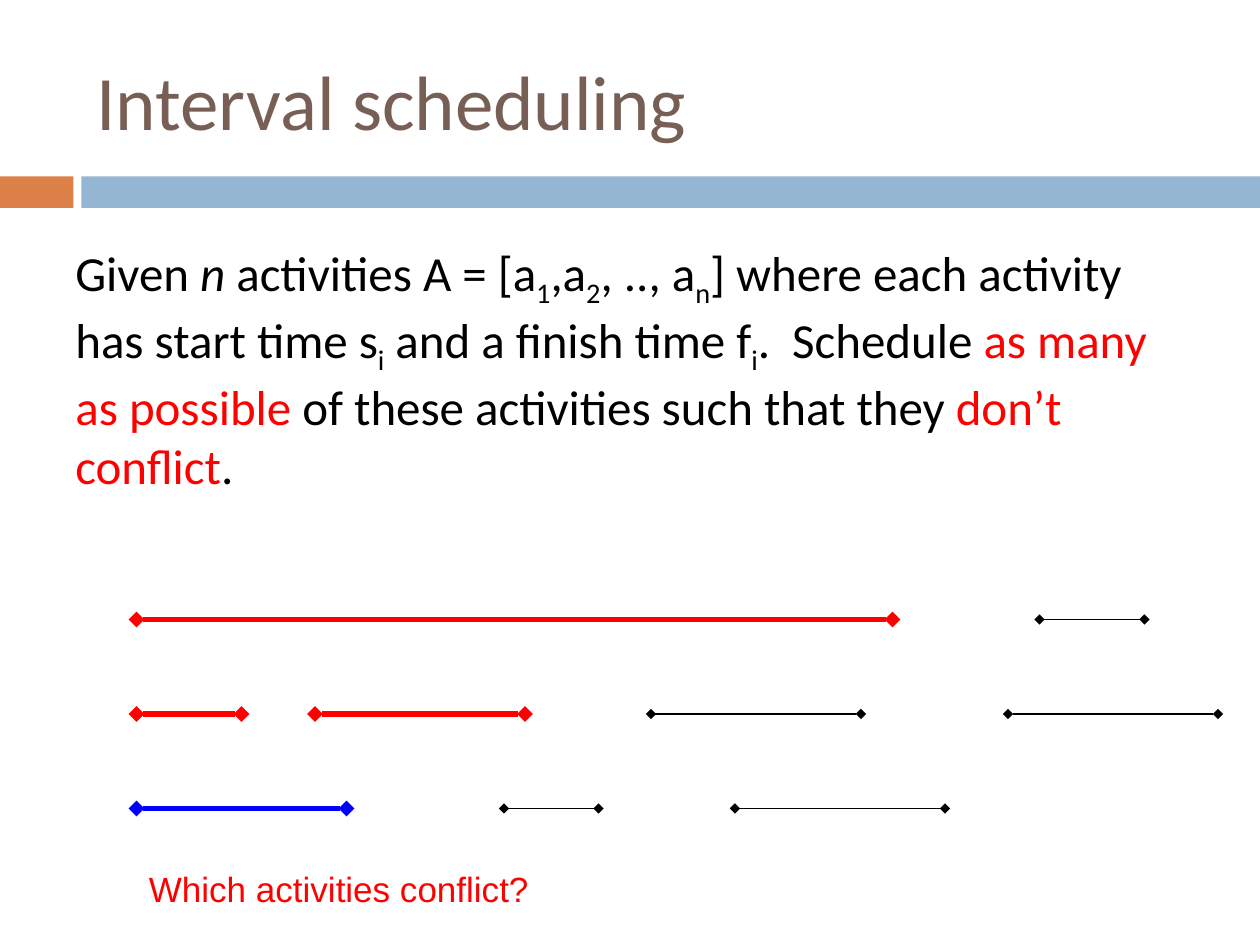
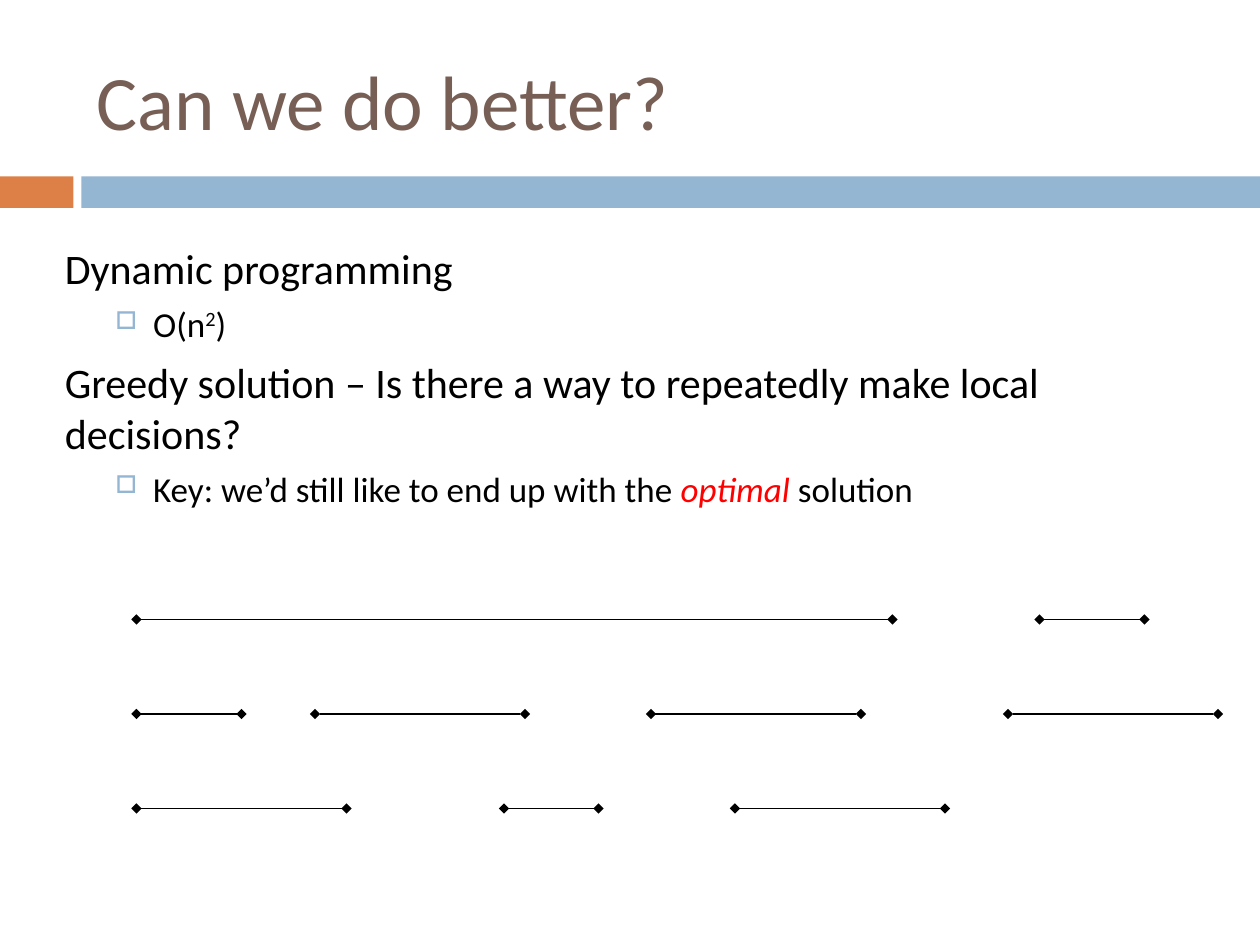
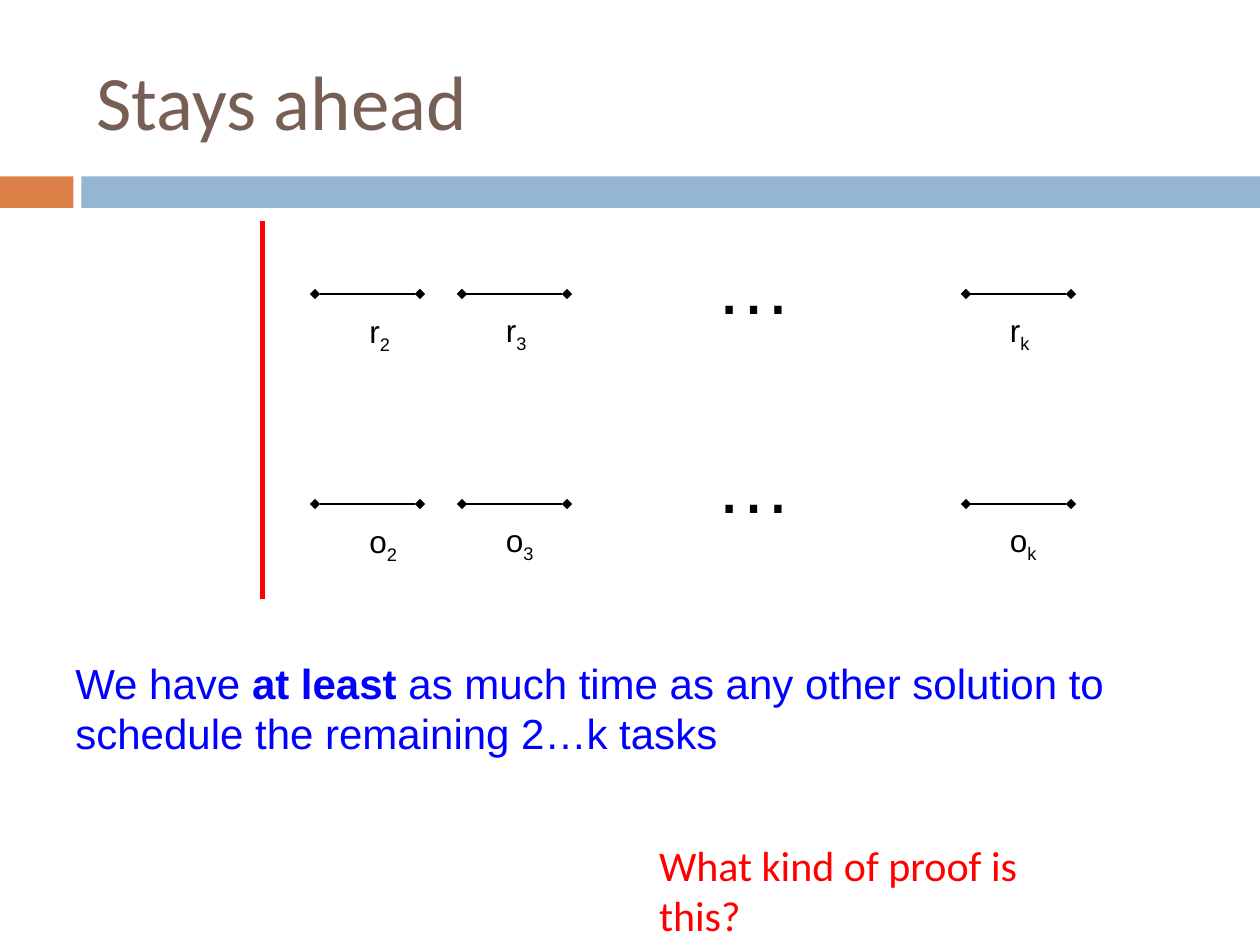
from lxml.etree import SubElement
from pptx import Presentation
from pptx.dml.color import RGBColor
from pptx.enum.shapes import MSO_CONNECTOR as CONNECTOR, MSO_SHAPE as SHAPE
from pptx.enum.text import MSO_ANCHOR as ANCHOR, MSO_AUTO_SIZE as AUTO_SIZE, PP_ALIGN as ALIGN
from pptx.oxml.ns import qn
from pptx.util import Pt

# Colours and fonts
BROWN = RGBColor(0x77, 0x5F, 0x55)
ORANGE = RGBColor(0xDD, 0x80, 0x47)
PALE_BLUE = RGBColor(0x94, 0xB6, 0xD2)
RED = RGBColor(0xFF, 0x00, 0x00)
BLUE = RGBColor(0x00, 0x00, 0xFF)
BLACK = RGBColor(0x00, 0x00, 0x00)
HEADING_FONT = "Calibri"
NOTE_FONT = "Arial"

# Run styles
SUBSCRIPT = {"baseline": -25000}
SUPERSCRIPT = {"baseline": 30000}
IN_RED = {"color": RED}

# Activities as (start, finish), one list per row, in points
ROW_TOP, ROW_STEP = 354, 54
ACTIVITY_ROWS = [
    [(78, 510), (594, 654)],
    [(78, 138), (180, 300), (372, 492), (576, 696)],
    [(78, 198), (288, 342), (420, 540)],
]
# Highlighted activities, by (row, place in row)
HIGHLIGHTS = {(0, 0): RED, (1, 0): RED, (1, 1): RED, (2, 0): BLUE}


def add_runs(paragraph, runs, size, font_name=HEADING_FONT, color=BLACK):
    """Add runs given as plain strings or as (text, style) pairs."""
    for item in runs:
        text, style = (item, {}) if isinstance(item, str) else item
        run = paragraph.add_run()
        run.text = text
        run.font.name = font_name
        run.font.size = Pt(size)
        run.font.color.rgb = style.get("color", color)
        run.font.bold = style.get("bold", False)
        run.font.italic = style.get("italic", False)
        if "baseline" in style:
            run._r.get_or_add_rPr().set("baseline", str(style["baseline"]))


def add_text_frame(slide, left, top, width, height, grow=True):
    box = slide.shapes.add_textbox(Pt(left), Pt(top), Pt(width), Pt(height))
    frame = box.text_frame
    frame.word_wrap = True
    frame.auto_size = AUTO_SIZE.SHAPE_TO_FIT_TEXT if grow else AUTO_SIZE.NONE
    return frame


def add_note(slide, bounds, runs, size, font_name=NOTE_FONT, color=BLACK, grow=True):
    frame = add_text_frame(slide, *bounds, grow=grow)
    add_runs(frame.paragraphs[0], runs, size, font_name, color)


def add_square_bullet(paragraph):
    properties = paragraph._p.get_or_add_pPr()
    properties.set("marL", str(Pt(50.4)))
    properties.set("indent", str(Pt(-21.6)))
    bullet_color = SubElement(properties, qn("a:buClr"))
    SubElement(bullet_color, qn("a:srgbClr"), val=str(PALE_BLUE))
    SubElement(properties, qn("a:buSzPct"), val="70000")
    SubElement(properties, qn("a:buChar"), char="□")


def add_outline(slide, bounds, items):
    """Add (level, runs) items; those on level 1 get a bullet."""
    frame = add_text_frame(slide, *bounds, grow=False)
    for index, (level, runs) in enumerate(items):
        paragraph = frame.add_paragraph() if index else frame.paragraphs[0]
        paragraph.level = level
        paragraph.space_before = Pt(5.5 if level else 7)
        if level:
            add_square_bullet(paragraph)
        add_runs(paragraph, runs, 20 if level else 24)


def add_line(slide, start, end, color=BLACK, width=0.75, diamonds=True):
    connector = slide.shapes.add_connector(CONNECTOR.STRAIGHT, *map(Pt, start + end))
    connector.line.color.rgb = color
    connector.line.width = Pt(width)
    properties = connector.element.spPr
    if diamonds:
        outline = properties.find(qn("a:ln"))
        for tag in ("a:headEnd", "a:tailEnd"):
            SubElement(outline, qn(tag), type="diamond")
    SubElement(properties, qn("a:effectLst"))


def add_activities(slide, highlights):
    for row, activities in enumerate(ACTIVITY_ROWS):
        y = ROW_TOP + row * ROW_STEP
        for place, (start, finish) in enumerate(activities):
            color = highlights.get((row, place))
            add_line(slide, (start, y), (finish, y), color or BLACK, 3 if color else 0.75)


def add_band(slide, left, width, color):
    band = slide.shapes.add_shape(SHAPE.RECTANGLE, Pt(left), Pt(100.8), Pt(width), Pt(18))
    band.shadow.inherit = False
    band.fill.solid()
    band.fill.fore_color.rgb = color
    band.line.fill.background()


def add_titled_slide(presentation, heading):
    slide = presentation.slides.add_slide(presentation.slide_layouts[5])
    add_band(slide, 0, 42, ORANGE)
    add_band(slide, 46.5, 673.5, PALE_BLUE)
    title = slide.shapes.title
    title.left, title.top, title.width, title.height = Pt(48), Pt(18), Pt(642), Pt(78)
    frame = title.text_frame
    frame.vertical_anchor = ANCHOR.MIDDLE
    frame.auto_size = AUTO_SIZE.NONE
    frame.paragraphs[0].alignment = ALIGN.LEFT
    add_runs(frame.paragraphs[0], [heading], 44, color=BROWN)
    return slide


def add_solution_row(slide, letter, y, ellipsis_top):
    """Add the tasks 2, 3, … k of one solution."""
    # Task start, then the offset of its label
    for index, x, label_dx, label_dy in (("2", 180, 24, 7), ("3", 264, 18, 6), ("k", 552, 18, 6)):
        add_line(slide, (x, y), (x + 60, y))
        add_note(slide, (x + label_dx, y + label_dy, 36, 29), [letter, (index, SUBSCRIPT)], 18)
    add_note(slide, (402, ellipsis_top, 78, 60), ["…"], 44)


def build_interval_scheduling(presentation):
    slide = add_titled_slide(presentation, "Interval scheduling")
    add_activities(slide, HIGHLIGHTS)
    add_note(slide, (78, 492, 264, 31), ["Which activities conflict?"], 20, color=RED)
    statement = [
        "Given ", ("n", {"italic": True}), " activities A = [a", ("1", SUBSCRIPT),
        ",a", ("2", SUBSCRIPT), ", .., a", ("n", SUBSCRIPT),
        "] where each activity has start time s", ("i", SUBSCRIPT),
        " and a finish time f", ("i", SUBSCRIPT), ".  Schedule ",
        ("as many as possible ", IN_RED),
        "of these activities such that they ", ("don’t conflict", IN_RED), ".",
    ]
    add_note(slide, (36, 135, 648, 171), statement, 28, HEADING_FONT, grow=False)


def build_can_we_do_better(presentation):
    slide = add_titled_slide(presentation, "Can we do better?")
    add_outline(slide, (30, 135, 660, 189), [
        (0, ["Dynamic programming"]),
        (1, ["O(n", ("2", SUPERSCRIPT), ")"]),
        (0, ["Greedy solution – Is there a way to repeatedly make local decisions?"]),
        (1, ["Key: we’d still like to end up with the ",
             ("optimal", {"color": RED, "italic": True}), " solution"]),
    ])
    add_activities(slide, {})


def build_stays_ahead(presentation):
    slide = add_titled_slide(presentation, "Stays ahead")
    add_solution_row(slide, "r", 168, 132)
    add_solution_row(slide, "o", 288, 246)
    add_line(slide, (150, 126), (150, 342), RED, 3, diamonds=False)
    conclusion = [
        "We have ", ("at least", {"bold": True}),
        " as much time as any other solution to schedule the remaining 2…k tasks",
    ]
    add_note(slide, (36, 372, 631.5, 65.5), conclusion, 24, color=BLUE)
    add_note(slide, (369.5, 476, 270.5, 36), ["What kind of proof is this?"], 24, HEADING_FONT, RED)


def main():
    presentation = Presentation()
    presentation.slide_width, presentation.slide_height = Pt(720), Pt(540)
    build_interval_scheduling(presentation)
    build_can_we_do_better(presentation)
    build_stays_ahead(presentation)
    presentation.save("out.pptx")


if __name__ == "__main__":
    main()
